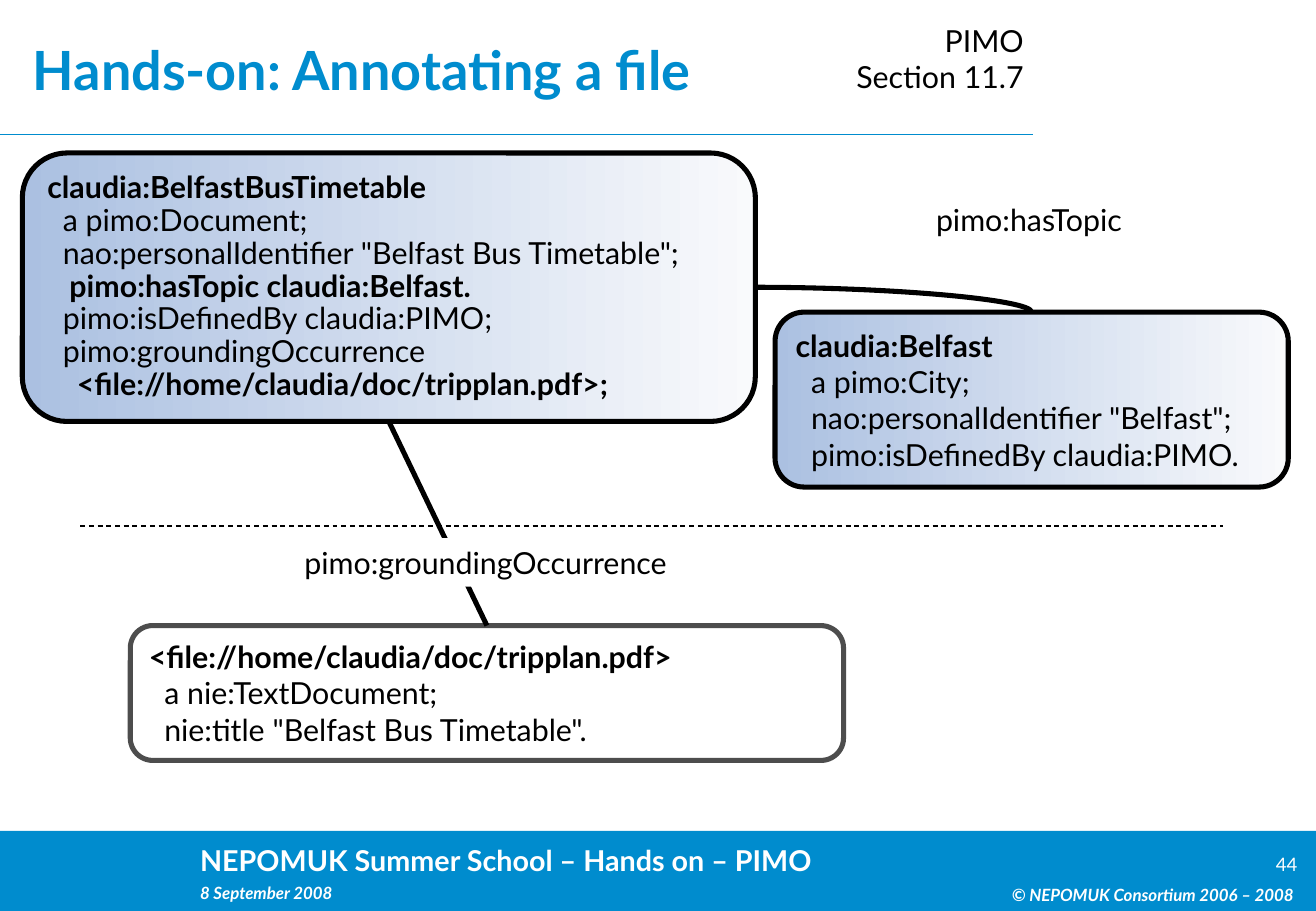
"""Build the slide that shows how a file is annotated with PIMO."""
from dataclasses import dataclass
from typing import NamedTuple, Optional

from lxml.etree import SubElement
from pptx import Presentation
from pptx.dml.color import RGBColor
from pptx.enum.dml import MSO_LINE
from pptx.enum.shapes import MSO_CONNECTOR, MSO_SHAPE
from pptx.enum.text import MSO_ANCHOR, PP_ALIGN
from pptx.oxml.ns import qn
from pptx.shapes.autoshape import Shape
from pptx.shapes.connector import Connector
from pptx.util import Emu, Inches, Pt

WIDTH, HEIGHT = Inches(10.84), Inches(7.5)
TOP, RIGHT, BOTTOM = 0, 3, 2


@dataclass(frozen=True)
class Theme:
    font: str = "Lato"
    blue: str = "008CCE"
    black: str = "000000"
    white: str = "FFFFFF"
    grey: str = "4D4D4D"
    gradient: tuple[str, str] = ("ABC0E1", "F9FAFC")
    title: int = 32
    body: int = 18
    footer: int = 17
    number: int = 11
    small: int = 10
    thin: float = 0.75
    thick: float = 3


class Area(NamedTuple):
    """Left, top, width and height in percent of the slide."""
    x: float
    y: float
    w: float
    h: float


class Line(NamedTuple):
    text: str
    bold: bool = False


@dataclass(frozen=True)
class Text:
    area: Area
    lines: tuple[Line, ...]
    size: int
    color: str
    align: PP_ALIGN = PP_ALIGN.LEFT
    anchor: MSO_ANCHOR = MSO_ANCHOR.TOP
    italic: bool = False
    spacing: float = 1.0
    margins: tuple[float, float] = (0.1, 0.05)
    fill: Optional[str] = None


@dataclass(frozen=True)
class Resource:
    text: Text
    outline: str
    shaded: bool


T = Theme()

FOOTER_BAND = Area(0, 91.2, 100, 8.8)

CAPTIONS = (
    Text(Area(14.3, 95.73, 50, 4), (Line("8 September 2008", True),),
         T.small, T.white, italic=True, spacing=1.24),
    Text(Area(94.4, 93.5, 4.2, 2.8), (Line("44"),), T.number, T.white,
         PP_ALIGN.RIGHT, MSO_ANCHOR.MIDDLE, margins=(0, 0)),
    Text(Area(14.3, 91.87, 61.4, 5.1),
         (Line("NEPOMUK Summer School – Hands on – PIMO", True),), T.footer, T.white),
    Text(Area(72.1, 95.87, 27.1, 4), (Line("© NEPOMUK Consortium 2006 – 2008", True),),
         T.small, T.white, PP_ALIGN.RIGHT, italic=True, spacing=1.24),
    Text(Area(2.5, 1.07, 76, 13.07), (Line("Hands-on: Annotating a file", True),),
         T.title, T.blue, anchor=MSO_ANCHOR.MIDDLE, margins=(0, 0)),
    Text(Area(63.8, 1.73, 14.9, 9.33), (Line("PIMO"), Line("Section 11.7")),
         T.body, T.black, PP_ALIGN.RIGHT),
)

FILE = Resource(Text(Area(9.9, 68.67, 54.2, 14.8), (
    Line("<file://home/claudia/doc/tripplan.pdf>", True),
    Line("  a nie:TextDocument;"),
    Line('  nie:title "Belfast Bus Timetable".'),
), T.body, T.black), T.grey, False)

TIMETABLE = Resource(Text(Area(1.7, 16.8, 55.7, 29.47), (
    Line("claudia:BelfastBusTimetable", True),
    Line("  a pimo:Document;"),
    Line('  nao:personalIdentifier "Belfast Bus Timetable";'),
    Line("   pimo:hasTopic claudia:Belfast.", True),
    Line("  pimo:isDefinedBy claudia:PIMO;"),
    Line("  pimo:groundingOccurrence"),
    Line("    <file://home/claudia/doc/tripplan.pdf>;", True),
), T.body, T.black, anchor=MSO_ANCHOR.MIDDLE, spacing=0.9), T.black, True)

BELFAST = Resource(Text(Area(58.9, 34.27, 39, 19.2), (
    Line("claudia:Belfast", True),
    Line("  a pimo:City;"),
    Line('  nao:personalIdentifier "Belfast";'),
    Line("  pimo:isDefinedBy claudia:PIMO."),
), T.body, T.black, anchor=MSO_ANCHOR.MIDDLE), T.black, True)

RELATION_LABELS = tuple(
    Text(area, (Line(name),), T.body, T.black, PP_ALIGN.CENTER, fill=T.white)
    for name, area in (
        ("pimo:groundingOccurrence", Area(20.9, 59.07, 32, 5.33)),
        ("pimo:hasTopic", Area(69.4, 21.47, 17.6, 5.33)),
    )
)

prs = Presentation()
prs.slide_width, prs.slide_height = WIDTH, HEIGHT
s = prs.slides.add_slide(prs.slide_layouts[6])


def across(share: float) -> Emu:
    return Emu(round(WIDTH * share / 100))


def down(share: float) -> Emu:
    return Emu(round(HEIGHT * share / 100))


def place(area: Area) -> tuple[Emu, Emu, Emu, Emu]:
    return across(area.x), down(area.y), across(area.w), down(area.h)


def rgb(color: str) -> RGBColor:
    return RGBColor.from_string(color)


def write(sp: Shape, text: Text) -> None:
    tf = sp.text_frame
    tf.word_wrap = True
    tf.vertical_anchor = text.anchor
    tf.margin_left = tf.margin_right = Inches(text.margins[0])
    tf.margin_top = tf.margin_bottom = Inches(text.margins[1])
    for i, line in enumerate(text.lines):
        p = tf.add_paragraph() if i else tf.paragraphs[0]
        p.add_run().text = line.text
        p.alignment, p.line_spacing = text.align, text.spacing
        p.font.name, p.font.size = T.font, Pt(text.size)
        p.font.bold, p.font.italic = line.bold, text.italic
        p.font.color.rgb = rgb(text.color)


def draw_text(text: Text) -> None:
    sp = s.shapes.add_textbox(*place(text.area))
    if text.fill:
        sp.fill.solid()
        sp.fill.fore_color.rgb = rgb(text.fill)
    write(sp, text)


def draw_resource(res: Resource) -> Shape:
    sp = s.shapes.add_shape(MSO_SHAPE.ROUNDED_RECTANGLE, *place(res.text.area))
    sp.shadow.inherit = False
    sp.line.color.rgb, sp.line.width = rgb(res.outline), Pt(T.thick)
    if res.shaded:
        sp.fill.gradient()
        sp.fill.gradient_angle = 0
        for stop, color in zip(sp.fill.gradient_stops, T.gradient):
            stop.color.rgb = rgb(color)
    else:
        sp.fill.background()
    write(sp, res.text)
    return sp


def draw_line(kind: MSO_CONNECTOR, color: str, width: float,
              x1: float = 0, x2: float = 0, y: float = 0) -> Connector:
    c = s.shapes.add_connector(kind, across(x1), down(y), across(x2), down(y))
    c.line.color.rgb, c.line.width = rgb(color), Pt(width)
    SubElement(c._element.spPr, qn("a:effectLst"))
    return c


def relate(kind: MSO_CONNECTOR, start: Shape, start_site: int,
           end: Shape, end_site: int) -> Connector:
    c = draw_line(kind, T.black, T.thick)
    c.begin_connect(start, start_site)
    c.end_connect(end, end_site)
    return c


band = s.shapes.add_shape(MSO_SHAPE.RECTANGLE, *place(FOOTER_BAND))
band.shadow.inherit = False
band.fill.solid()
band.fill.fore_color.rgb = rgb(T.blue)
band.line.fill.background()
draw_line(MSO_CONNECTOR.STRAIGHT, T.blue, T.thin, 0, 78.5, 14.8)
for caption in CAPTIONS:
    draw_text(caption)

divider = draw_line(MSO_CONNECTOR.STRAIGHT, T.black, T.thin, 6.1, 92.9, 57.73)
divider.line.dash_style = MSO_LINE.DASH
file, timetable, belfast = map(draw_resource, (FILE, TIMETABLE, BELFAST))
relate(MSO_CONNECTOR.STRAIGHT, file, TOP, timetable, BOTTOM)
topic = relate(MSO_CONNECTOR.CURVE, timetable, RIGHT, belfast, TOP)
topic._element.spPr.find(qn("a:prstGeom")).set("prst", "curvedConnector2")
for label in RELATION_LABELS:
    draw_text(label)

prs.save("out.pptx")
